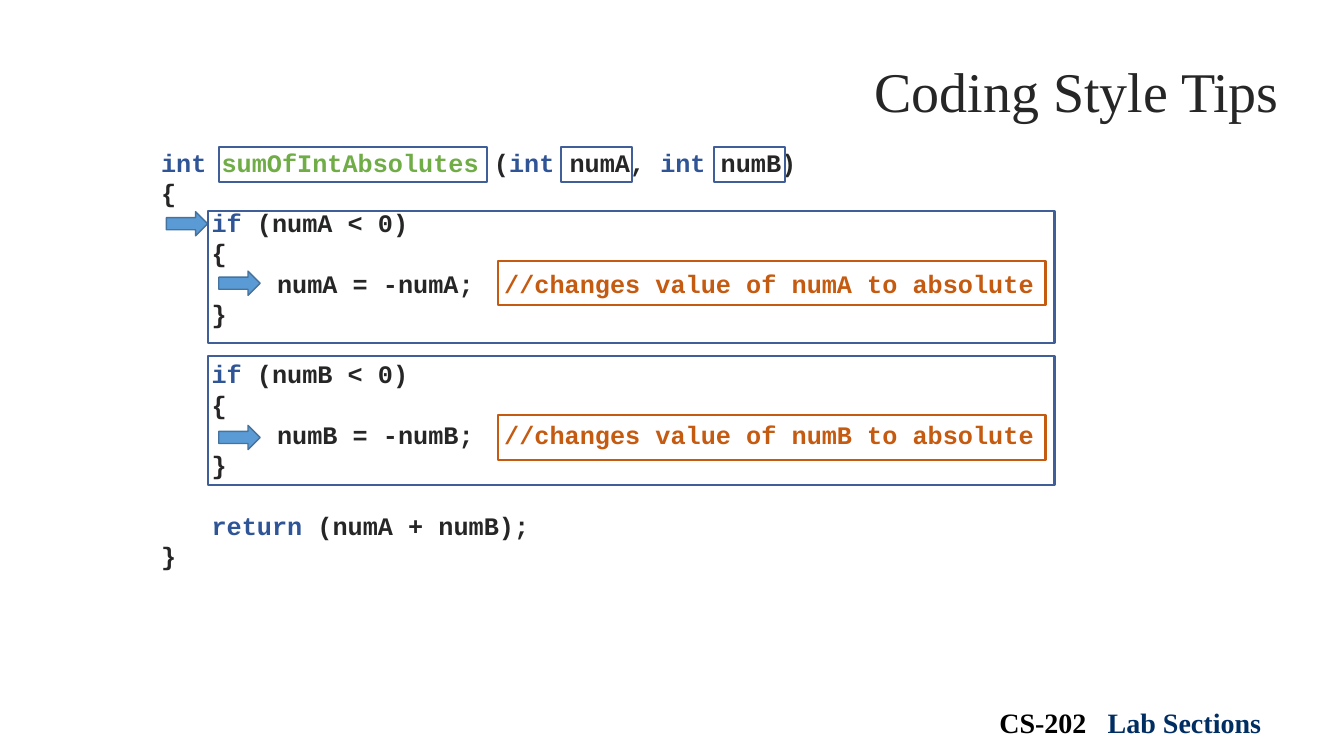
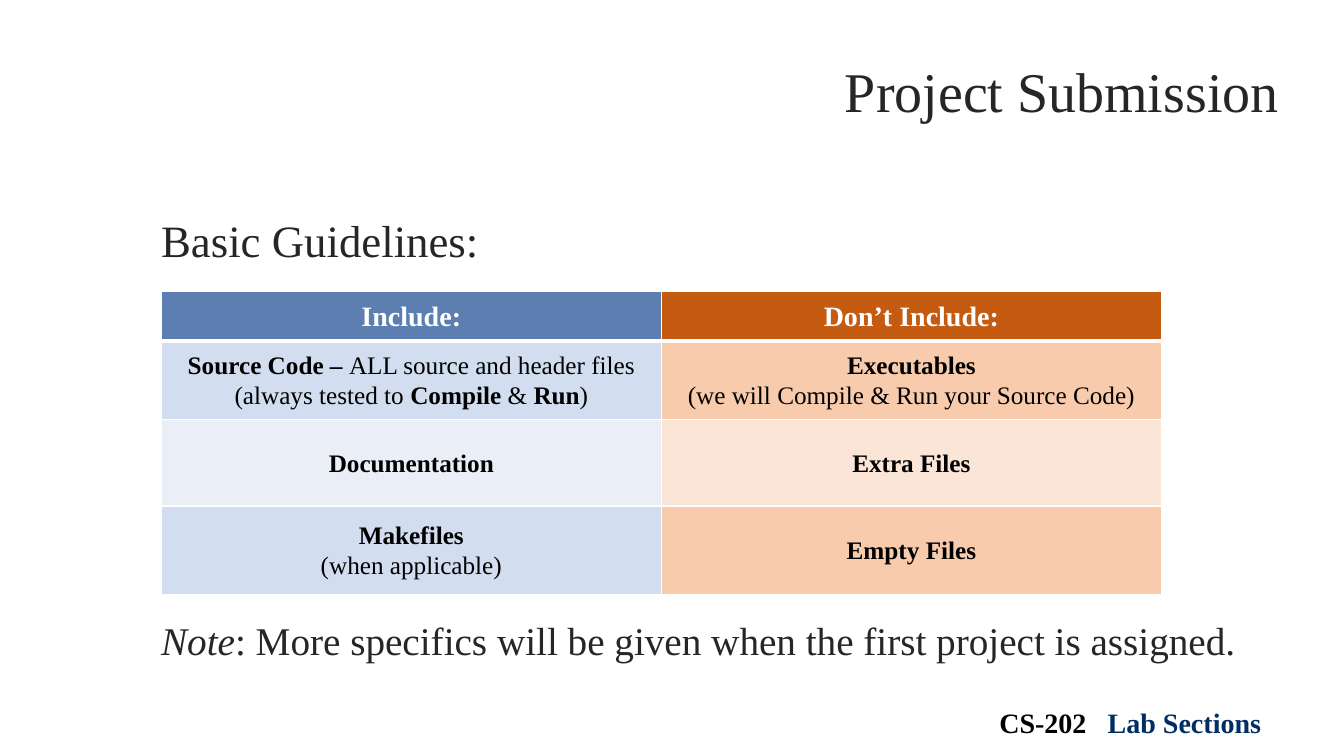
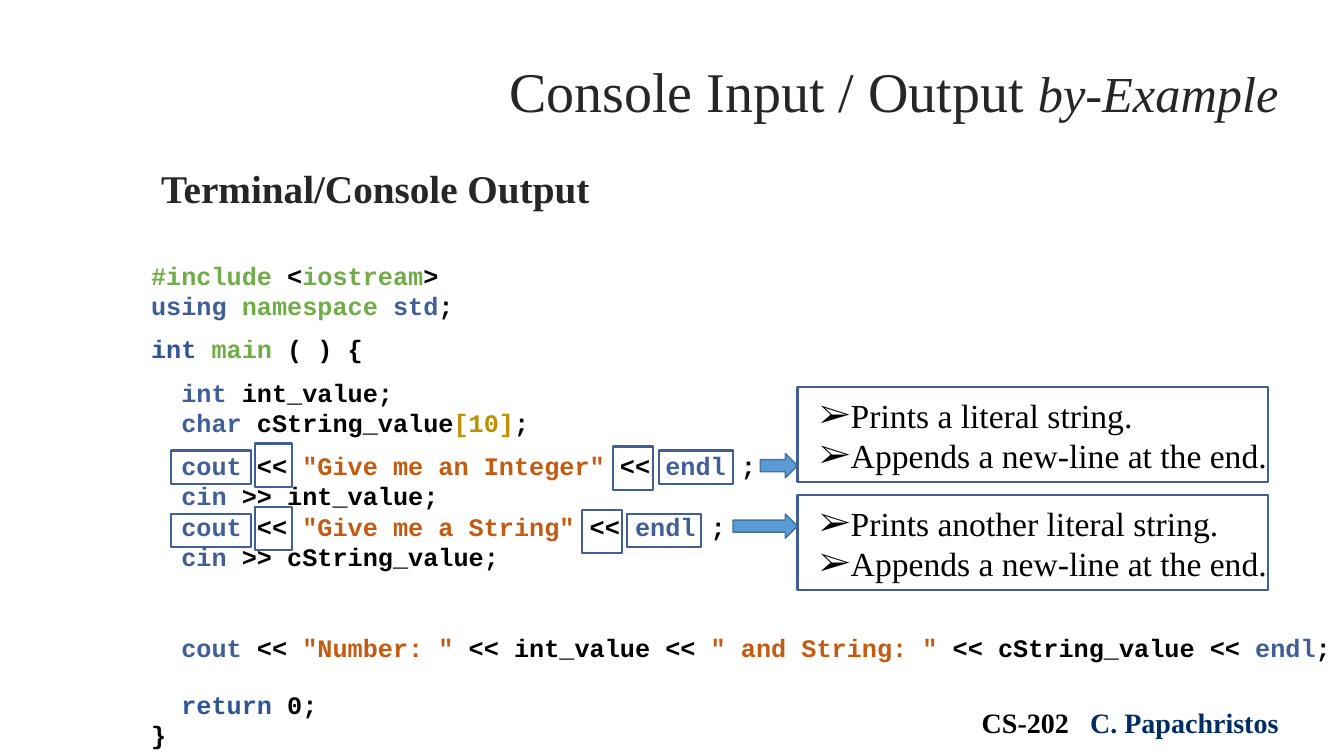
import dataclasses
import lxml.etree
import pptx
import pptx.util
import pptx.dml.color
import pptx.enum.shapes
import pptx.enum.text
import pptx.oxml.ns

KIND = pptx.enum.shapes.MSO_SHAPE
ALIGN = pptx.enum.text.PP_ALIGN
ANCHOR = pptx.enum.text.MSO_ANCHOR
UNIT = 9144


@dataclasses.dataclass(frozen=True)
class Theme:
    serif: str = "Times New Roman"
    mono: str = "Courier New"
    ink: str = "262626"
    black: str = "000000"
    white: str = "FFFFFF"
    navy: str = "002E62"
    blue: str = "2F5597"
    steel: str = "405F98"
    green: str = "70AD47"
    rust: str = "C55A11"
    gold: str = "BF9000"
    arrow: str = "5B9BD5"
    edge: str = "43739E"
    heads: tuple = ("5C7EB0", "C55A11")
    bands: tuple = (("D2DEEF", "F8CBAD"), ("EAEFF7", "FBE5D6"))
    title: int = 40
    aside: int = 36
    lead: int = 32
    note: int = 28
    call: int = 24
    foot: int = 20
    body: int = 18


T = Theme()


def px(num):
    return pptx.util.Emu(num * UNIT)


def rgb(hue):
    return pptx.dml.color.RGBColor.from_string(hue)


def place(box, left, top, wide, high):
    return box[0] + left, box[1] + top, wide, high


def node(parent, tag, **attrs):
    return lxml.etree.SubElement(parent, pptx.oxml.ns.qn(tag), **attrs)


def write(par, text, hue, size, face=T.serif, bold=False, slant=False, gap=0):
    run = par.add_run()
    run.text = text
    font = run.font
    font.name, font.size = face, pptx.util.Pt(size)
    font.bold, font.italic = bold, slant
    font.color.rgb = rgb(hue)
    if gap:
        font._element.set("spc", str(gap * 100))


def frame(slide, box, anchor=ANCHOR.TOP):
    text = slide.shapes.add_textbox(*map(px, box)).text_frame
    text.word_wrap = True
    text.vertical_anchor = anchor
    return text


def lines(text, items):
    for spot, item in enumerate(items):
        yield (text.add_paragraph() if spot else text.paragraphs[0]), item


def inset(par, left, hang=0):
    props = par._p.get_or_add_pPr()
    props.set("marL", str(px(left)))
    props.set("indent", str(px(-hang)))
    return props


def mark(slide, box, hue=T.steel, kind=KIND.RECTANGLE, fill=None, width=1.5):
    shape = slide.shapes.add_shape(kind, *map(px, box))
    shape.shadow.inherit = False
    if fill:
        shape.fill.solid()
        shape.fill.fore_color.rgb = rgb(fill)
    else:
        shape.fill.background()
    shape.line.color.rgb = rgb(hue)
    shape.line.width = pptx.util.Pt(width)


def arrow(slide, box):
    mark(slide, box, T.edge, KIND.RIGHT_ARROW, T.arrow, 1)


def title(slide, box, text, aside=""):
    par = frame(slide, box, ANCHOR.BOTTOM).paragraphs[0]
    par.alignment = ALIGN.RIGHT
    write(par, text, T.ink, T.title)
    if aside:
        write(par, aside, T.ink, T.aside, slant=True)


def footer(slide, box, name):
    par = frame(slide, box).paragraphs[0]
    par.alignment = ALIGN.CENTER
    write(par, "CS-202", T.black, T.foot, bold=True)
    write(par, " ", T.black, T.foot, bold=True, gap=10)
    write(par, name, T.navy, T.foot, bold=True)


def start(deck, text, name, aside=""):
    slide = deck.slides.add_slide(deck.slide_layouts[6])
    title(slide, (106, 57, 1172, 71), text, aside)
    footer(slide, (949, 695, 344, 44), name)
    return slide


def code(slide, box, rows):
    for par, (left, above, runs) in lines(frame(slide, box), rows):
        inset(par, left)
        par.space_before = px(above)
        for part, hue, *gap in runs:
            write(par, part, hue, T.body, T.mono, True, gap=sum(gap))


def branch(name, above):
    return [
        (50, above, [("if ", T.blue), (f"({name} < 0)", T.ink)]),
        (50, 0, [("{", T.ink)]),
        (115, 0, [(f"{name} = -{name};", T.ink), (" ", T.ink, 11),
                  (f"//changes value of {name} to absolute", T.rust)]),
        (50, 0, [("}", T.ink)]),
    ]


def style(slide, box):
    code(slide, box, [
        (0, 0, [("int ", T.blue), ("sumOfIntAbsolutes ", T.green), ("(", T.ink),
                ("int ", T.blue), ("numA, ", T.ink), ("int ", T.blue), ("numB)", T.ink)]),
        (0, 0, [("{", T.ink)]),
        *branch("numA", 0),
        *branch("numB", 30),
        (50, 30, [("return", T.blue), (" (numA + numB);", T.ink)]),
        (0, 0, [("}", T.ink)]),
    ])
    for left, top in ((15, 69), (67, 128), (67, 281)):
        arrow(slide, place(box, left, top, 41, 24))
    for left, wide in ((67, 266), (406, 71), (558, 71)):
        mark(slide, place(box, left, 5, wide, 35))
    for top, high in ((68, 131), (212, 128)):
        mark(slide, place(box, 56, top, 840, high))
    for top in (118, 271):
        mark(slide, place(box, 344, top, 543, 44), T.rust)


def border(cell, sides):
    props = cell._tc.get_or_add_tcPr()
    for spot, (side, width) in enumerate(sides):
        line = lxml.etree.Element(pptx.oxml.ns.qn(f"a:ln{side}"),
                                  w=str(pptx.util.Pt(width)))
        node(node(line, "a:solidFill"), "a:srgbClr", val=T.white)
        props.insert(spot, line)


def fill(cell, paras, row, col):
    head = row == 0
    cell.fill.solid()
    cell.fill.fore_color.rgb = rgb(T.heads[col] if head else T.bands[(row - 1) % 2][col])
    cell.vertical_anchor = ANCHOR.MIDDLE
    cell.margin_left = cell.margin_right = px(7)
    cell.margin_top = cell.margin_bottom = 0
    for par, runs in lines(cell.text_frame, paras):
        par.alignment = ALIGN.CENTER
        par.line_spacing = 1.07
        for part, bold in runs:
            write(par, part, T.white if head else T.black,
                  T.foot if head else T.body, bold=bold)
    border(cell, (("L", 1), ("R", 1), ("T", 3 if row == 1 else 1), ("B", 3 if head else 1)))


def grid(slide, box, rows, highs):
    table = slide.shapes.add_table(len(rows), len(rows[0]), *map(px, box)).table
    for row, (cells, high) in enumerate(zip(rows, highs)):
        table.rows[row].height = px(high)
        for col, paras in enumerate(cells):
            fill(table.cell(row, col), paras, row, col)


def guide(slide, box):
    text = frame(slide, box)
    write(text.paragraphs[0], "Basic Guidelines:", T.ink, T.lead)
    par = text.add_paragraph()
    par.space_before = px(347)
    write(par, "Note", T.ink, T.note, slant=True)
    write(par, ": More specifics will be given when the first project is assigned.",
          T.ink, T.note)
    rows = [
        ([[("Include:", True)]], [[("Don’t Include:", True)]]),
        ([[("Source Code – ", True), ("ALL source and header files", False)],
          [("(always tested to ", False), ("Compile", True), (" & ", False),
           ("Run", True), (")", False)]],
         [[("Executables", True)],
          [("(we will Compile & Run your Source Code)", False)]]),
        ([[("Documentation", True)]], [[("Extra Files", True)]]),
        ([[("Makefiles", True)], [("(when applicable)", False)]],
         [[("Empty Files", True)]]),
    ]
    grid(slide, place(box, 10, 83, 992, 301), rows, (49, 78, 86, 88))


def callout(slide, box, items):
    mark(slide, box)
    text = frame(slide, place(box, 12, 3, 467, 91))
    for par, item in lines(text, items):
        props = inset(par, 31, 31)
        node(props, "a:buFont", typeface=T.serif)
        node(props, "a:buChar", char="➢")
        write(par, item, T.black, T.call)


def prompt(word, above):
    return (30, above, [("cout", T.steel), (" << ", T.black),
                        (f'"Give me {word}"', T.rust), (" << ", T.black),
                        ("endl ", T.steel), (";", T.black)])


def read(name):
    return (30, 0, [("cin", T.steel), (f" >> {name};", T.black)])


def console(slide, box):
    code(slide, box, [
        (0, 0, [("#include ", T.green), ("<", T.black), ("iostream", T.green), (">", T.black)]),
        (0, 0, [("using ", T.steel), ("namespace ", T.green), ("std", T.steel), (";", T.black)]),
        (0, 13, [("int ", T.blue), ("main ", T.green), ("( ) {", T.black)]),
        (30, 13, [("int ", T.steel), ("int_value;", T.black)]),
        (30, 0, [("char ", T.steel), ("cString_value", T.black), ("[10]", T.gold), (";", T.black)]),
        prompt("an Integer", 13),
        read("int_value"),
        prompt("a String", 0),
        read("cString_value"),
        (30, 60, [("cout ", T.steel), ("<< ", T.black), ('"Number: "', T.rust),
                  (" << int_value << ", T.black), ('" and String: " ', T.rust),
                  ("<< cString_value << ", T.black), ("endl", T.steel), (";", T.black)]),
        (30, 27, [("return", T.blue), (" 0;", T.black)]),
        (0, 0, [("}", T.black)]),
    ])
    for top, last, tail, tip, drop, side, kind in (
            (194, 468, 514, 614, 3, 131, "a literal"),
            (257, 437, 482, 587, 0, 238, "another literal")):
        mark(slide, place(box, 30, top, 79, 33))
        mark(slide, place(box, tail, top, 73, 33))
        mark(slide, place(box, 113, top - 7, 37, 43))
        mark(slide, place(box, last, top - 4, 40, 43))
        arrow(slide, place(box, tip, top + drop, 651 - tip, 24))
        callout(slide, place(box, 651, side, 467, 94),
                (f"Prints {kind} string.", "Appends a new-line at the end."))


def topic(slide, box, text):
    write(frame(slide, box).paragraphs[0], text, T.ink, T.note, bold=True)


def main():
    deck = pptx.Presentation()
    deck.slide_width, deck.slide_height = px(1333), px(750)
    style(start(deck, "Coding Style Tips", "Lab Sections"), (150, 141, 1143, 554))
    guide(start(deck, "Project Submission", "Lab Sections"), (150, 206, 1143, 384))
    slide = start(deck, "Console Input / Output ", "C. Papachristos", "by-Example")
    topic(slide, (150, 158, 1172, 60), "Terminal/Console Output")
    console(slide, (140, 253, 1193, 497))
    deck.save("out.pptx")


if __name__ == "__main__":
    main()
